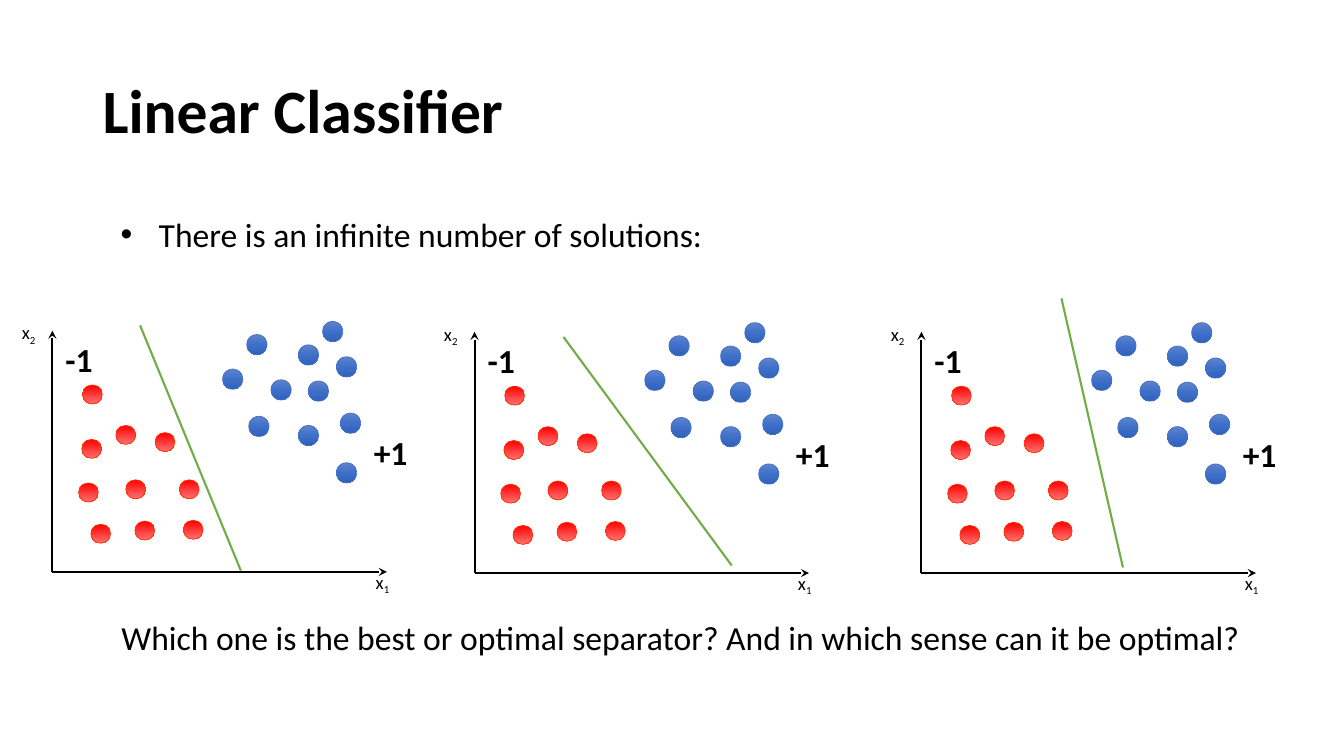
from dataclasses import dataclass
from copy import deepcopy

from lxml import etree
from pptx import Presentation
from pptx import util as u
from pptx.dml import color
from pptx.enum import shapes, text
from pptx.oxml import ns


@dataclass(frozen=True)
class Theme:
    font: str = "Calibri"
    ink: str = "000000"
    boundary: str = "70AD47"
    red_fill: tuple = ("FF0000", "FF7171")
    red_edge: str = "FF3300"
    blue_fill: tuple = ("6183CB", "3E70CA", "3062BB")
    blue_edge: str = "4472C4"
    title_size: float = 44
    body_size: float = 24
    axis_size: float = 13.3
    line_width: float = 1.5
    edge_width: float = 0.5


THEME = Theme()

# Point positions in cm, measured from the top of the vertical axis
RED_POINTS = [(0.74, 2.74), (0.66, 3.84), (1.85, 3.76), (2.08, 4.8), (0.97, 4.88),
              (2.59, 2.57), (1.6, 2.39), (3.2, 3.76), (3.3, 4.78), (0.76, 1.37)]
BLUE_POINTS = [(6.81, -0.23), (4.9, 0.1), (6.2, 0.36), (5.51, 1.24), (6.2, 2.39),
               (6.45, 1.27), (4.29, 0.97), (7.16, 0.66), (7.26, 2.08),
               (4.95, 2.16), (7.16, 3.33)]
AXIS_WIDTH, AXIS_HEIGHT = 8.43, 6.08

# Box of each plot (left, top, width, height) and the ends of its boundary
PLOTS = [
    ((1.32, 8.33, AXIS_WIDTH, AXIS_HEIGHT), (2.21, -0.13), (4.75, 6.05)),
    ((11.96, 8.36, AXIS_WIDTH, AXIS_HEIGHT), (2.24, 0.13), (6.48, 5.89)),
    ((23.22, 8.36, AXIS_WIDTH, AXIS_HEIGHT), (3.53, -0.84), (5.08, 5.94)),
]


def rgb(value):
    return color.RGBColor.from_string(value)


def write_text(frame, content, size=THEME.body_size, bold=False, subscript="",
               align=text.PP_ALIGN.LEFT, spacing=1.0, bullet=False):
    frame.word_wrap = True
    para = frame.paragraphs[0]
    if bullet:
        properties = para._p.get_or_add_pPr()
        properties.set("marL", str(u.Cm(1.42)))
        properties.set("indent", str(-u.Cm(0.96)))
        font = etree.SubElement(properties, ns.qn("a:buFont"))
        font.set("typeface", "Arial")
        etree.SubElement(properties, ns.qn("a:buChar")).set("char", "•")
    para.alignment, para.line_spacing = align, spacing
    for part in filter(None, (content, subscript)):
        span = para.add_run()
        span.text = part
        span.font.name, span.font.size, span.font.bold = THEME.font, u.Pt(size), bold
        span.font.color.rgb = rgb(THEME.ink)
    if subscript:
        span._r.get_or_add_rPr().set("baseline", "-25000")


def add_label(page, box, content, **formatting):
    label = page.shapes.add_textbox(*map(u.Cm, box))
    write_text(label.text_frame, content, **formatting)


def add_line(page, start, end, line_color, arrow=False):
    line = page.shapes.add_connector(shapes.MSO_CONNECTOR.STRAIGHT,
                                     *map(u.Cm, (*start, *end)))
    line.line.color.rgb, line.line.width = rgb(line_color), u.Pt(THEME.line_width)
    if arrow:
        tail = etree.SubElement(line.line._get_or_add_ln(), ns.qn("a:tailEnd"))
        tail.set("type", "stealth")
    etree.SubElement(line._element.spPr, ns.qn("a:effectLst"))


def add_point(page, box, preset, fill_colors, edge):
    point = page.shapes.add_shape(preset, *map(u.Cm, box))
    point.shadow.inherit = False
    point.fill.gradient()
    point.fill.gradient_angle = 270
    stop_list = point._element.spPr.find(".//" + ns.qn("a:gsLst"))
    if len(fill_colors) == 3:
        stop_list.insert(1, deepcopy(stop_list[0]))
    for index, (stop, value) in enumerate(zip(point.fill.gradient_stops, fill_colors)):
        stop.position = index / (len(fill_colors) - 1)
        stop.color.rgb = rgb(value)
    point.line.color.rgb, point.line.width = rgb(edge), u.Pt(THEME.edge_width)


def add_plot(page, box, boundary_start, boundary_end):
    left, top, width, height = box

    def place(x, y):
        return left + x, top + y

    # Two classes of points
    for x, y in RED_POINTS:
        add_point(page, (*place(x, y), 0.5, 0.48),
                  shapes.MSO_SHAPE.FLOWCHART_CONNECTOR, THEME.red_fill, THEME.red_edge)
    for x, y in BLUE_POINTS:
        add_point(page, (*place(x, y), 0.51, 0.51),
                  shapes.MSO_SHAPE.OVAL, THEME.blue_fill, THEME.blue_edge)
    add_label(page, (*place(0.08, 0.08), 1.32, 1.27), "-1", bold=True)
    add_label(page, (*place(7.85, 2.44), 1.73, 1.27), "+1", bold=True)

    # Boundary, axes and axis names
    add_line(page, place(*boundary_start), place(*boundary_end), THEME.boundary)
    for tip in ((0, 0), (width, height)):
        add_line(page, place(0, height), place(*tip), THEME.ink, arrow=True)
    for index, corner in (("1", (7.9, 5.92)), ("2", (-1.02, -0.36))):
        add_label(page, (*place(*corner), 1.32, 0.84), "x",
                  subscript=index, size=THEME.axis_size)


def add_title(page, box):
    title = page.shapes.title
    title.left, title.top, title.width, title.height = map(u.Cm, box)
    title.text_frame.vertical_anchor = text.MSO_ANCHOR.MIDDLE
    write_text(title.text_frame, "Linear Classifier", size=THEME.title_size,
               bold=True, spacing=0.9)


def add_statements(page, box):
    left, top, width, height = box
    add_label(page, (left, top, width, 1.5), "There is an infinite number of solutions:",
              align=text.PP_ALIGN.JUSTIFY, spacing=1.2, bullet=True)
    add_label(page, (left + 0.48, top + height - 1.5, width, 1.5),
              "Which one is the best or optimal separator? "
              "And in which sense can it be optimal?",
              align=text.PP_ALIGN.JUSTIFY, spacing=1.2)


def main():
    deck = Presentation()
    deck.slide_width, deck.slide_height = u.Cm(33.87), u.Cm(19.05)
    page = deck.slides.add_slide(deck.slide_layouts[5])
    add_title(page, (2.33, 1.01, 29.21, 3.68))
    add_statements(page, (2.33, 5.07, 29.21, 11.64))
    for plot in PLOTS:
        add_plot(page, *plot)
    deck.save("out.pptx")


if __name__ == "__main__":
    main()
